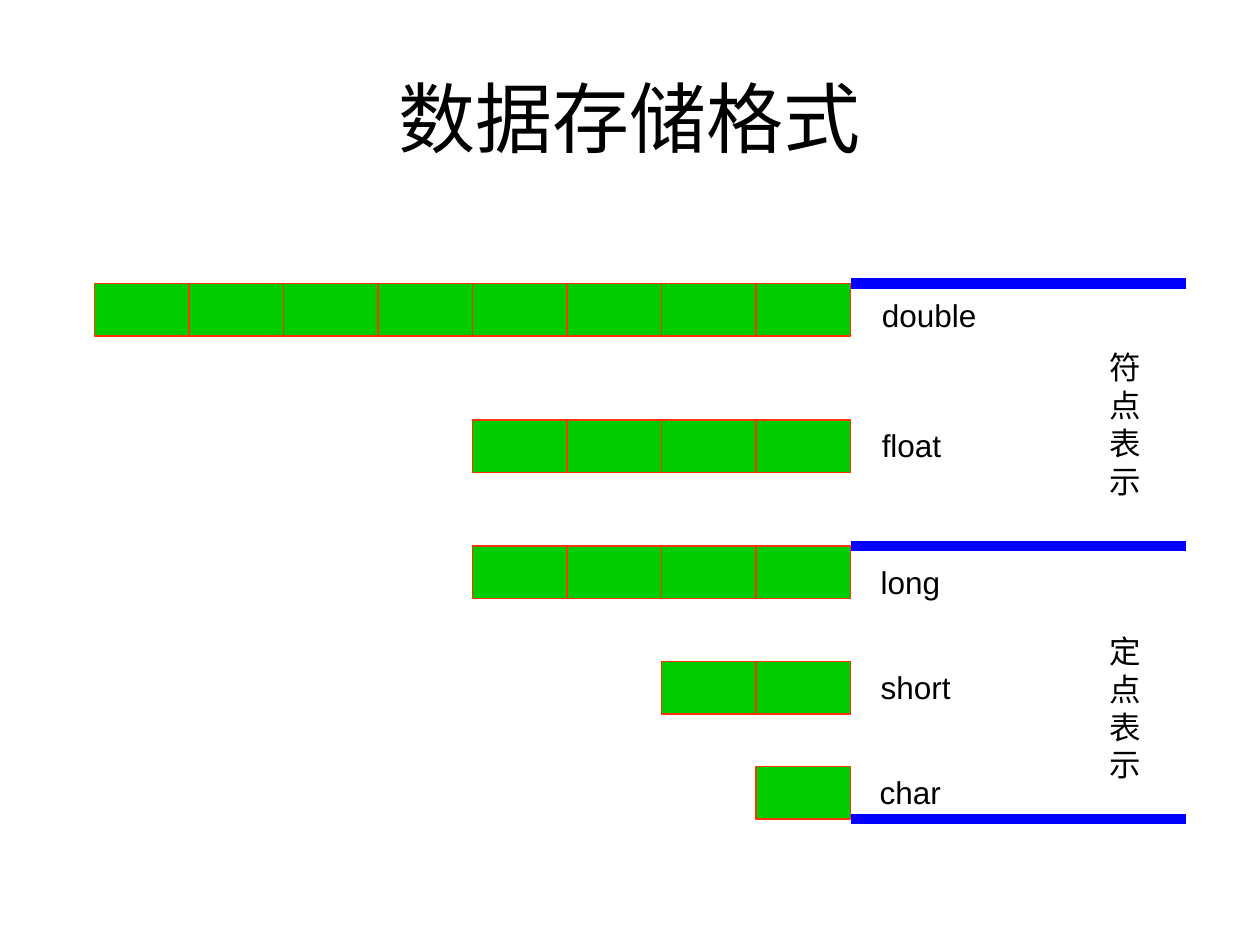
from dataclasses import dataclass
from lxml.etree import SubElement
from pptx import Presentation
from pptx.dml.color import RGBColor
from pptx.enum.shapes import MSO_CONNECTOR, MSO_SHAPE
from pptx.enum.text import MSO_ANCHOR, MSO_AUTO_SIZE, PP_ALIGN
from pptx.oxml.ns import qn
from pptx.util import Inches, Pt


@dataclass(frozen=True)
class Theme:
    """Colours, fonts and type sizes of the slide."""
    ink: RGBColor = RGBColor(0, 0, 0)
    fill: RGBColor = RGBColor(0x00, 0xCC, 0x00)
    edge: RGBColor = RGBColor(0xFF, 0x33, 0x00)
    rule: RGBColor = RGBColor(0x00, 0x00, 0xFF)
    head: str = "Calibri"
    body: str = "Arial"
    large: int = 44
    small: int = 18


@dataclass(frozen=True)
class Box:
    """An area counted in grid units."""
    left: float
    top: float
    width: float
    height: float

    def place(self):
        """Give left, top, width and height as lengths."""
        return [unit(n) for n in (self.left, self.top, self.width, self.height)]


THEME = Theme()
GRID = 12
CELL_W, CELL_H = 9, 5
TYPES = [
    ("double", 8, 27, Box(82.8, 27.6, 11.6, 4.8)),
    ("float", 4, 40, Box(82.8, 40, 8.4, 4.8)),
    ("long", 4, 52, Box(82.7, 53, 8.4, 4.8)),
    ("short", 2, 63, Box(82.7, 63, 9.6, 4.8)),
    ("char", 1, 73, Box(82.6, 73, 8.8, 4.8)),
]
GROUPS = [
    ("符点表示", Box(104.5, 32.6, 5.4, 15.6)),
    ("定点表示", Box(104.5, 59.6, 5.4, 15.6)),
]


def unit(count):
    """Turn grid units into a length."""
    return Inches(count / GRID)


def style(para, name, size):
    """Set the font of a whole paragraph."""
    para.font.name = name
    para.font.size = Pt(size)
    para.font.color.rgb = THEME.ink


def add_title(slide, box, text):
    """Fill the title placeholder within the box."""
    title = slide.shapes.title
    title.left, title.top, title.width, title.height = box.place()
    frame = title.text_frame
    frame.text = text
    frame.vertical_anchor = MSO_ANCHOR.MIDDLE
    frame.paragraphs[0].alignment = PP_ALIGN.CENTER
    style(frame.paragraphs[0], THEME.head, THEME.large)


def add_bytes(slide, box, count):
    """Draw a row of byte cells, flush with the right side of the box."""
    right = box.left + box.width
    for step in range(1, count + 1):
        spot = Box(right - step * CELL_W, box.top, CELL_W, box.height)
        cell = slide.shapes.add_shape(MSO_SHAPE.RECTANGLE, *spot.place())
        cell.shadow.inherit = False
        cell.fill.solid()
        cell.fill.fore_color.rgb = THEME.fill
        cell.line.color.rgb = THEME.edge
        cell.line.width = Pt(1)


def add_rules(slide, box, stops):
    """Draw thick level lines across the box at the given rows."""
    for stop in stops:
        line = slide.shapes.add_connector(
            MSO_CONNECTOR.STRAIGHT, unit(box.left), unit(box.top + stop),
            unit(box.left + box.width), unit(box.top + stop))
        line.line.color.rgb = THEME.rule
        line.line.width = Pt(6)
        SubElement(line._element.spPr, qn("a:effectLst"))


def add_label(slide, box, lines):
    """Write one paragraph for each line in the box."""
    frame = slide.shapes.add_textbox(*box.place()).text_frame
    frame.word_wrap = False
    frame.auto_size = MSO_AUTO_SIZE.SHAPE_TO_FIT_TEXT
    frame.text = "\n".join(lines)
    for para in frame.paragraphs:
        style(para, THEME.body, THEME.small)


def main():
    """Build the slide and save it."""
    deck = Presentation()
    deck.slide_width, deck.slide_height = Inches(10), Inches(7.5)
    slide = deck.slides.add_slide(deck.slide_layouts[5])
    add_title(slide, Box(6, 3.6, 108, 15), "数据存储格式")
    for _, count, top, _ in reversed(TYPES):
        add_bytes(slide, Box(9, top, 8 * CELL_W, CELL_H), count)
    add_rules(slide, Box(81, 27, 32, 51), (0, 25, 51))
    for name, _, _, box in TYPES:
        add_label(slide, box, [name])
    for name, box in GROUPS:
        add_label(slide, box, name)
    deck.save("out.pptx")


if __name__ == "__main__":
    main()
